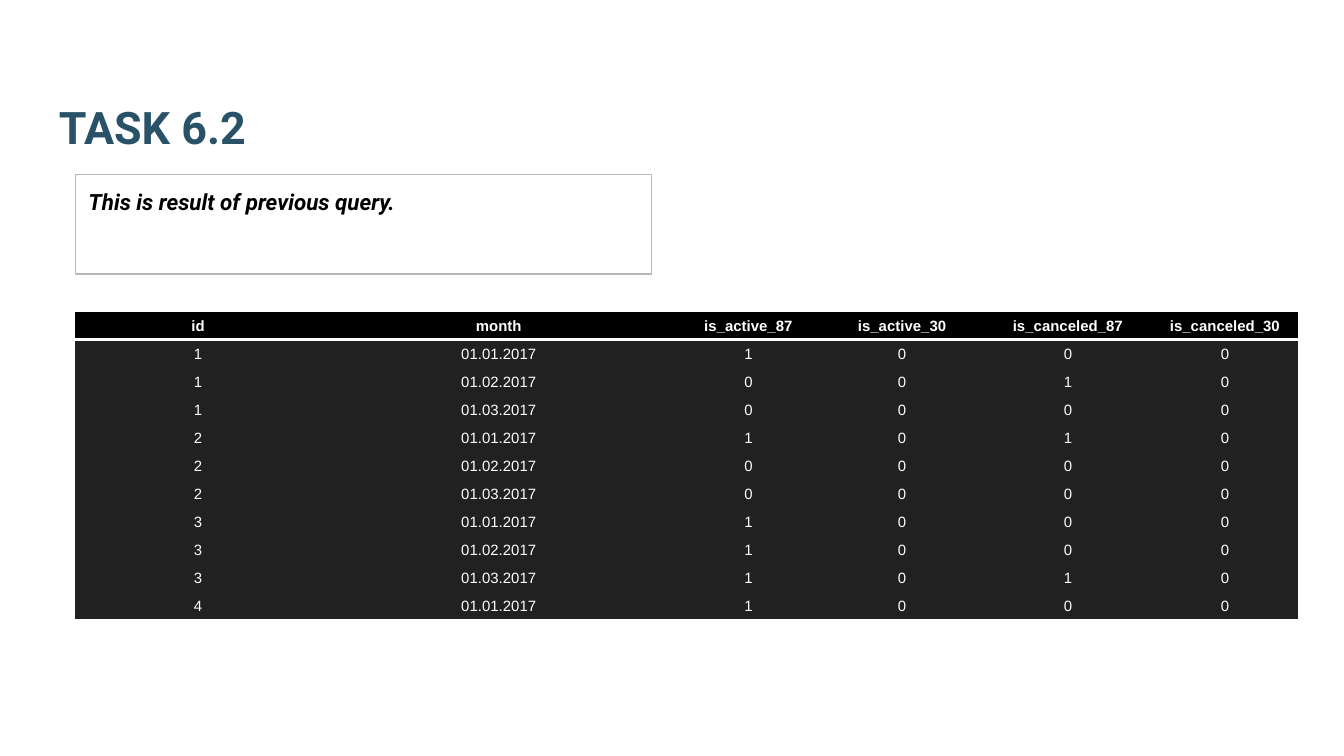
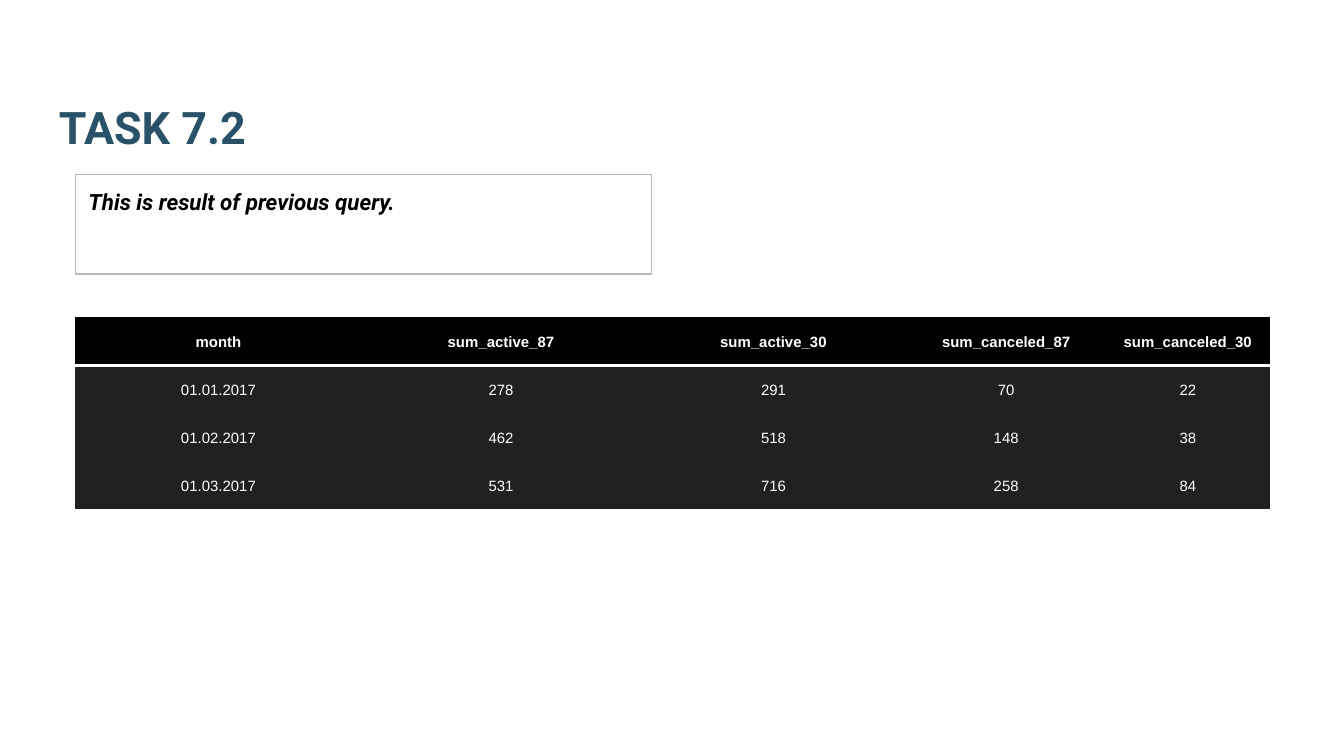
from lxml.etree import SubElement
from pptx import Presentation
from pptx.dml.color import RGBColor
from pptx.enum.shapes import MSO_SHAPE
from pptx.enum.text import MSO_ANCHOR, PP_ALIGN
from pptx.oxml.ns import qn
from pptx.util import Inches, Pt

# Content
NOTE = "This is result of previous query."
MONTHS = ["01.01.2017", "01.02.2017", "01.03.2017"]
JANUARY, FEBRUARY, MARCH = MONTHS
TASKS = [
    {
        "title": "TASK 6.2",
        "top": 2.32,
        "size": (9.1, 2.29),
        "columns": [1.83, 2.65, 1.07, 1.22, 1.25, 1.09],
        "header": ["id", "month", "is_active_87", "is_active_30",
                   "is_canceled_87", "is_canceled_30"],
        "rows": [
            (1, JANUARY, 1, 0, 0, 0),
            (1, FEBRUARY, 0, 0, 1, 0),
            (1, MARCH, 0, 0, 0, 0),
            (2, JANUARY, 1, 0, 1, 0),
            (2, FEBRUARY, 0, 0, 0, 0),
            (2, MARCH, 0, 0, 0, 0),
            (3, JANUARY, 1, 0, 0, 0),
            (3, FEBRUARY, 1, 0, 0, 0),
            (3, MARCH, 1, 0, 1, 0),
            (4, JANUARY, 1, 0, 0, 0),
        ],
    },
    {
        "title": "TASK 7.2",
        "top": 2.36,
        "size": (8.89, 1.43),
        "columns": [2.13, 2.07, 1.98, 1.48, 1.22],
        "header": ["month", "sum_active_87", "sum_active_30",
                   "sum_canceled_87", "sum_canceled_30"],
        "rows": [
            (JANUARY, 278, 291, 70, 22),
            (FEBRUARY, 462, 518, 148, 38),
            (MARCH, 531, 716, 258, 84),
        ],
    },
]

# Shared look
WHITE = RGBColor(0xFF, 0xFF, 0xFF)
BLACK = RGBColor(0x00, 0x00, 0x00)
CHARCOAL = RGBColor(0x21, 0x21, 0x21)
GREY = RGBColor(0xB7, 0xB7, 0xB7)
TEAL = RGBColor(0x29, 0x52, 0x69)
HEADING_FONT, TABLE_FONT = "Roboto", "Arial"
PLAIN_TABLE_STYLE = "{2D5ABB26-0587-4C30-8999-92F81FD0307C}"
SLIDE_WIDTH = 10
SLIDE_HEIGHT = SLIDE_WIDTH * 9 / 16
TITLE_AREA = (0.34, 0.32, 9.32, 0.92)
CONTENT_LEFT = 0.56
NOTE_AREA = (CONTENT_LEFT, 1.3, 4.29, 0.74)
TEXT_INSET, CELL_INSET = 0.1, 0.01


def write(frame, text, font, size, color, bold=True, italic=False,
          align=PP_ALIGN.LEFT):
    para = frame.paragraphs[0]
    para.alignment = align
    span = para.add_run()
    span.text = text
    span.font.name = font
    span.font.size = Pt(size)
    span.font.color.rgb = color
    span.font.bold = bold
    span.font.italic = italic


def set_up_frame(box, anchor):
    frame = box.text_frame
    frame.word_wrap = True
    frame.vertical_anchor = anchor
    frame.margin_left = frame.margin_right = Inches(TEXT_INSET)
    frame.margin_top = frame.margin_bottom = Inches(TEXT_INSET)
    return frame


def add_title(page, text):
    box = page.shapes.add_textbox(*map(Inches, TITLE_AREA))
    write(set_up_frame(box, MSO_ANCHOR.BOTTOM), text, HEADING_FONT, 24, TEAL)


def add_note(page, text):
    box = page.shapes.add_shape(MSO_SHAPE.RECTANGLE, *map(Inches, NOTE_AREA))
    box.shadow.inherit = False
    box.fill.background()
    box.line.color.rgb = GREY
    box.line.width = Pt(0.75)
    write(set_up_frame(box, MSO_ANCHOR.TOP), text, HEADING_FONT, 12, BLACK,
          italic=True)


def underline_cell(cell, color, width):
    # Borders come before the fill in the cell properties
    properties = cell._tc.get_or_add_tcPr()
    border = SubElement(properties, qn("a:lnB"), w=str(Pt(width)))
    fill = SubElement(border, qn("a:solidFill"))
    SubElement(fill, qn("a:srgbClr"), val=str(color))
    properties.insert(0, border)


def fill_cell(cell, value, is_header):
    cell.fill.solid()
    cell.fill.fore_color.rgb = BLACK if is_header else CHARCOAL
    cell.vertical_anchor = MSO_ANCHOR.MIDDLE
    cell.margin_left = cell.margin_right = cell.margin_top = Inches(CELL_INSET)
    cell.margin_bottom = 0
    write(cell.text_frame, str(value), TABLE_FONT, 8, WHITE, bold=is_header,
          align=PP_ALIGN.CENTER)
    if is_header:
        underline_cell(cell, WHITE, 2)


def add_result_table(page, task):
    lines = [task["header"], *task["rows"]]
    shares = task["columns"]
    width, height = task["size"]
    frame = page.shapes.add_table(
        len(lines), len(shares), Inches(CONTENT_LEFT), Inches(task["top"]),
        Inches(width), Inches(height))
    table = frame.table
    table.horz_banding = False
    table._tbl.tblPr.find(qn("a:tableStyleId")).text = PLAIN_TABLE_STYLE
    for column, share in zip(table.columns, shares):
        column.width = Inches(width * share / sum(shares))
    for row_number, (row, values) in enumerate(zip(table.rows, lines)):
        row.height = Inches(height / len(lines))
        for cell, value in zip(row.cells, values):
            fill_cell(cell, value, row_number == 0)


def main():
    deck = Presentation()
    deck.slide_width = Inches(SLIDE_WIDTH)
    deck.slide_height = Inches(SLIDE_HEIGHT)
    blank = deck.slide_layouts[6]
    for task in TASKS:
        page = deck.slides.add_slide(blank)
        add_title(page, task["title"])
        add_note(page, NOTE)
        add_result_table(page, task)
    deck.save("out.pptx")


if __name__ == "__main__":
    main()
